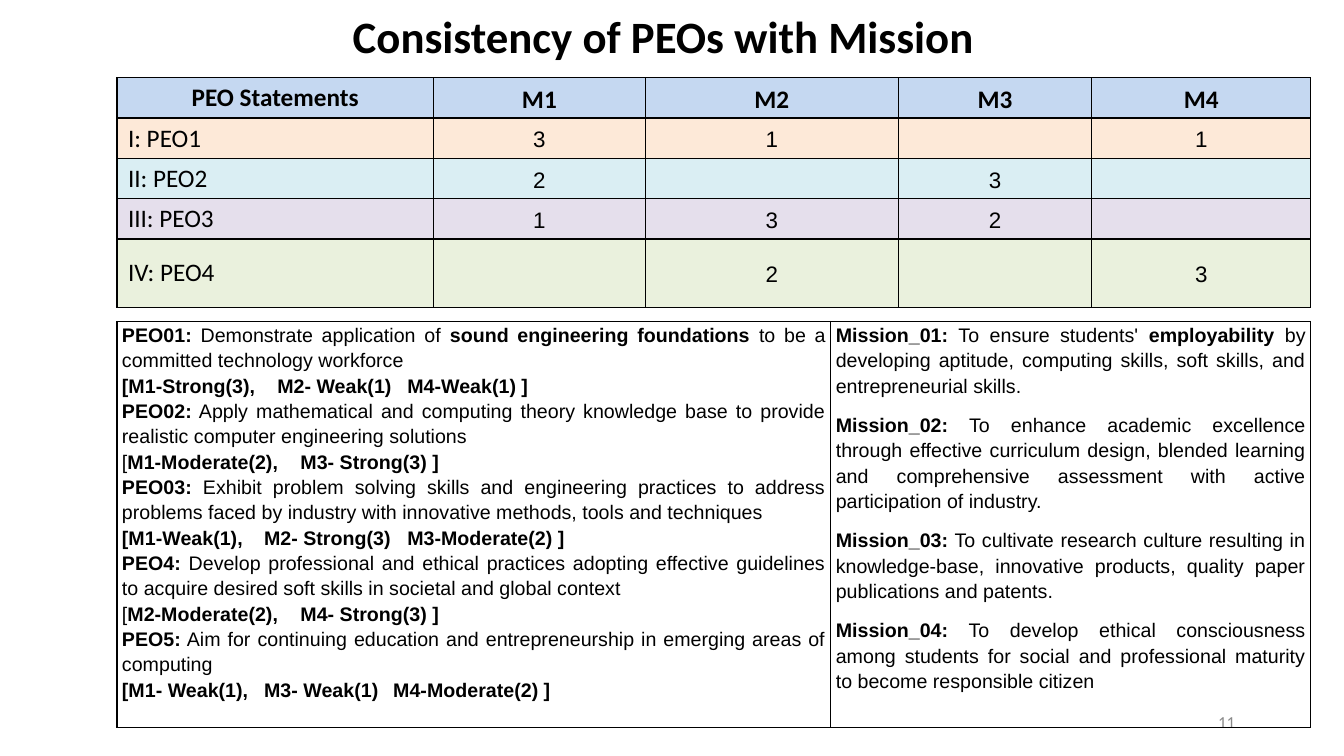
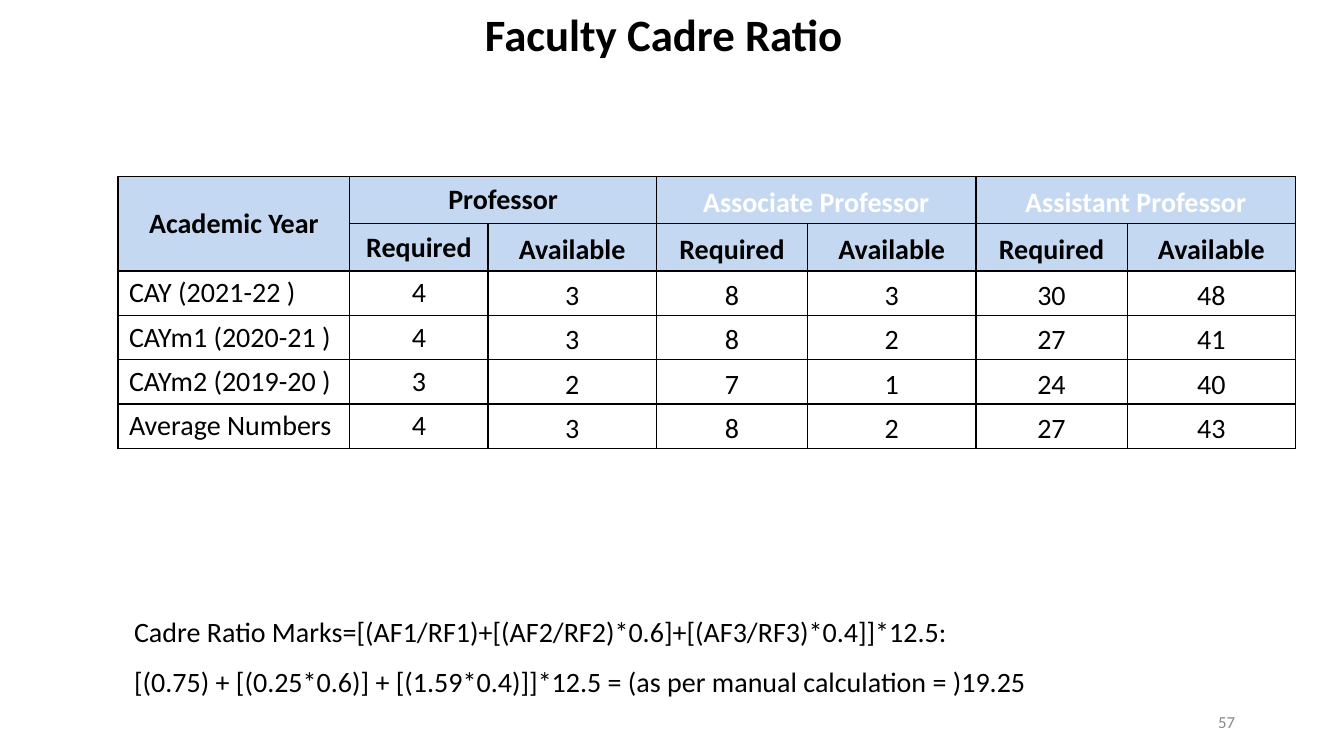
from lxml import etree
from pptx import Presentation
from pptx.dml.color import RGBColor
from pptx.enum.text import MSO_ANCHOR, MSO_AUTO_SIZE, PP_ALIGN
from pptx.oxml.ns import qn
from pptx.util import Inches, Pt

MID, TOP = MSO_ANCHOR.MIDDLE, MSO_ANCHOR.TOP
LEFT, CENTER, JUST = PP_ALIGN.LEFT, PP_ALIGN.CENTER, PP_ALIGN.JUSTIFY
HEX = {"ink": "000000", "white": "FFFFFF", "grey": "898989", "head": "C5D8F1",
       "peach": "FDE9D8", "aqua": "DAEEF3", "lilac": "E5DFEC", "green": "EAF1DD"}


def put(par, runs, size, font="Calibri", color="ink", align=CENTER, line=1.0):
    par.alignment = align
    par.line_spacing = line
    for text, bold in runs:
        run = par.add_run()
        run.text = text
        run.font.size = Pt(size)
        run.font.name = font
        run.font.bold = bold
        run.font.color.rgb = RGBColor.from_string(HEX[color])


def grid(slide, left, top, cols, rows):
    table = slide.shapes.add_table(len(rows), len(cols), Inches(left), Inches(top),
                                   Inches(sum(cols)), Inches(sum(rows))).table
    table.first_row = False
    table.horz_banding = False
    for col, wide in zip(table.columns, cols):
        col.width = Inches(wide)
    for row, high in zip(table.rows, rows):
        row.height = Inches(high)
    for cell in table.iter_cells():
        props = cell._tc.get_or_add_tcPr()
        for side in ("a:lnL", "a:lnR", "a:lnT", "a:lnB"):
            edge = etree.SubElement(props, qn(side), w=str(Pt(1)))
            fill = etree.SubElement(edge, qn("a:solidFill"))
            etree.SubElement(fill, qn("a:srgbClr"), val=HEX["ink"])
        cell.fill.background()
    return table


deck = Presentation()
deck.slide_width, deck.slide_height = Inches(13.33), Inches(7.5)

pages = [
    {"title": "Consistency of PEOs with Mission", "at": (0.99, 0.08, 11.18, 0.55), "num": "11",
     "left": 1.16, "top": 0.77, "cols": [3.14, 2.1, 2.51, 1.92, 2.17],
     "rows": [0.4] * 4 + [0.68], "heads": 1, "leads": 1, "size": 18,
     "fills": ["head", "peach", "aqua", "lilac", "green"],
     "body": (16, "Arial"), "gap": 3, "pad": 0, "align": JUST,
     "data": [["PEO Statements", "M1", "M2", "M3", "M4"],
              ["I: PEO1", "3", "1", "", "1"],
              ["II: PEO2", "2", "", "3", ""],
              ["III: PEO3", "1", "3", "2", ""],
              ["IV: PEO4", "", "2", "", "3"]]},
    {"title": "Faculty Cadre Ratio", "at": (1.17, 0, 10.83, 0.67), "num": "57",
     "left": 1.17, "top": 1.75, "cols": [2.3, 1.37] + [1.67, 1.5] * 2 + [1.67],
     "rows": [0.47] * 2 + [0.44] * 4, "heads": 2, "leads": 2, "size": 20,
     "fills": ["head"] * 2 + ["white"] * 4,
     "body": (20, "Calibri"), "gap": 0, "pad": 0.07, "align": LEFT,
     "data": [["Academic Year", "Professor", "", "Associate Professor", "",
               "Assistant Professor", ""],
              [""] + ["Required", "Available"] * 3,
              ["CAY (2021-22 )", "4", "3", "8", "3", "30", "48"],
              ["CAYm1 (2020-21 )", "4", "3", "8", "2", "27", "41"],
              ["CAYm2 (2019-20 )", "3", "2", "7", "1", "24", "40"],
              ["Average Numbers", "4", "3", "8", "2", "27", "43"]]},
]

for page in pages:
    slide = deck.slides.add_slide(deck.slide_layouts[5])
    title = slide.shapes.title
    title.left, title.top, title.width, title.height = map(Inches, page["at"])
    title.text_frame.auto_size = MSO_AUTO_SIZE.NONE
    title.text_frame.vertical_anchor = MID
    put(title.text_frame.paragraphs[0], [(page["title"], True)], 32)

    num = slide.shapes.add_textbox(Inches(11.58), Inches(6.95), Inches(1.17), Inches(0.42))
    num.text_frame.word_wrap = True
    num.text_frame.vertical_anchor = MID
    put(num.text_frame.paragraphs[0], [(page["num"], False)], 12, color="grey")

    table = grid(slide, page["left"], page["top"], page["cols"], page["rows"])
    if page["heads"] == 2:
        table.cell(0, 0).merge(table.cell(1, 0))
        for c in (1, 3, 5):
            table.cell(0, c).merge(table.cell(0, c + 1))
    for r, line in enumerate(page["data"]):
        for c, text in enumerate(line):
            cell = table.cell(r, c)
            cell.fill.solid()
            cell.fill.fore_color.rgb = RGBColor.from_string(HEX[page["fills"][r]])
            cell.vertical_anchor = MID
            if not text:
                continue
            head, lead = r < page["heads"], c < page["leads"]
            side = 0.11 if lead else 0.07 if head else page["pad"]
            cell.margin_left = cell.margin_right = Inches(side)
            cell.margin_top = cell.margin_bottom = Inches(0.05 if lead else 0)
            par = cell.text_frame.paragraphs[0]
            size, font = (page["size"], "Calibri") if head or lead else page["body"]
            pale = page["heads"] == 2 and r == 0 and c > 2
            put(par, [(text, head)], size, font, "white" if pale else "ink",
                page["align"] if c == 0 and not head else CENTER, 1 if lead else 1.15)
            if not head and not lead:
                par.space_before = par.space_after = Pt(page["gap"])

goals = [
    ([("PEO01:", True), (" Demonstrate application of ", False),
      ("sound engineering foundations", True),
      (" to be a committed technology workforce", False)], ()),
    ([("[M1-Strong(3),\tM2- Weak(1)\tM4-Weak(1) ]", True)], (1.54, 2.83)),
    ([("PEO02:", True), (" Apply mathematical and computing theory knowledge base to provide "
                         "realistic computer engineering solutions", False)], ()),
    ([("[", False), ("M1-Moderate(2),\tM3- Strong(3) ]", True)], (1.77,)),
    ([("PEO03:", True), (" Exhibit problem solving skills and engineering practices to address "
                         "problems faced by industry with innovative methods, tools and "
                         "techniques", False)], ()),
    ([("[M1-Weak(1),\tM2- Strong(3)\tM3-Moderate(2) ]", True)], (1.41, 2.83)),
    ([("PEO4:", True), (" Develop professional and ethical practices adopting effective "
                        "guidelines to acquire desired soft skills in societal and global "
                        "context", False)], ()),
    ([("[", False), ("M2-Moderate(2),\tM4- Strong(3) ]", True)], (1.77,)),
    ([("PEO5:", True), (" Aim for continuing education and entrepreneurship in emerging areas "
                        "of computing", False)], ()),
    ([("[M1- Weak(1),\tM3- Weak(1)\tM4-Moderate(2) ]", True)], (1.41, 2.69)),
]
aims = [
    ([("Mission_01:", True), (" To ensure students' ", False), ("employability", True),
      (" by developing aptitude, computing skills, soft skills, and entrepreneurial skills.",
       False)], ()),
    ([("Mission_02:", True), (" To enhance academic excellence through effective curriculum "
                              "design, blended learning and comprehensive assessment with "
                              "active participation of industry.", False)], ()),
    ([("Mission_03:", True), (" To cultivate research culture resulting in knowledge-base, "
                              "innovative products, quality paper publications and patents.",
                              False)], ()),
    ([("Mission_04:", True), (" To develop ethical consciousness among students for social and "
                              "professional maturity to become responsible citizen", False)], ()),
]
table = grid(deck.slides[0], 1.16, 3.19, [7.08, 4.76], [4.03])
for c, (paras, gap) in enumerate([(goals, 0), (aims, 10)]):
    cell = table.cell(0, c)
    cell.vertical_anchor = TOP
    cell.margin_left = cell.margin_right = Inches(0.05)
    cell.margin_top = cell.margin_bottom = 0
    frame = cell.text_frame
    for i, (runs, stops) in enumerate(paras):
        par = frame.add_paragraph() if i else frame.paragraphs[0]
        if stops:
            tabs = etree.SubElement(par._p.get_or_add_pPr(), qn("a:tabLst"))
            for stop in stops:
                etree.SubElement(tabs, qn("a:tab"), pos=str(Inches(stop)), algn="l")
        put(par, runs, 14, "Arial", align=JUST, line=1.15)
        par.space_after = Pt(gap)

note = deck.slides[1].shapes.add_textbox(Inches(1.17), Inches(5.87), Inches(9.5), Inches(1.11))
frame = note.text_frame
frame.word_wrap = True
frame.vertical_anchor = MID
frame.margin_left = Inches(0.16)
sums = ["Cadre Ratio Marks=[(AF1/RF1)+[(AF2/RF2)*0.6]+[(AF3/RF3)*0.4]]*12.5:",
        "[(0.75) + [(0.25*0.6)] + [(1.59*0.4)]]*12.5 = (as per manual calculation = )19.25"]
for i, text in enumerate(sums):
    par = frame.add_paragraph() if i else frame.paragraphs[0]
    put(par, [(text, False)], 20, align=LEFT, line=1.5)

deck.save("out.pptx")
